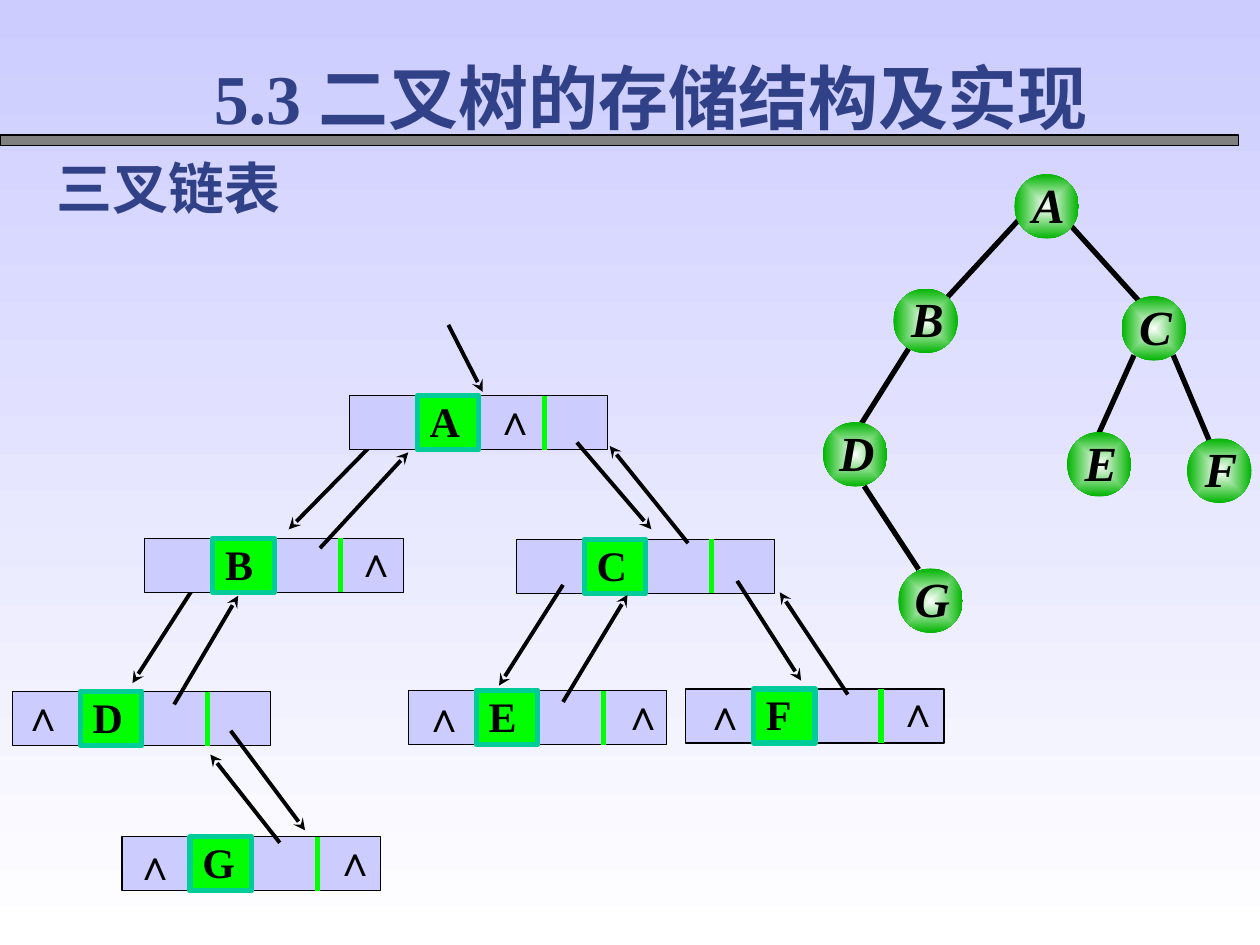
from lxml.etree import SubElement
from pptx import Presentation
from pptx.dml.color import RGBColor
from pptx.enum.shapes import MSO_CONNECTOR as Connector, MSO_SHAPE as Shape
from pptx.enum.text import MSO_ANCHOR as Anchor, PP_ALIGN as Align
from pptx.oxml.ns import qn
from pptx.util import Cm, Pt

color = RGBColor.from_string

deck = Presentation()
deck.slide_width, deck.slide_height = Cm(25.4), Cm(19.05)
page = deck.slides.add_slide(deck.slide_layouts[6])


def add_line(ends, hue, width, arrow=False):
    line = page.shapes.add_connector(Connector.STRAIGHT, *[Cm(end) for end in ends])
    line.line.color.rgb = color(hue)
    line.line.width = Pt(width)
    properties = line._element.spPr
    if arrow:
        SubElement(properties.find(qn("a:ln")), qn("a:tailEnd"), type="stealth")
    SubElement(properties, qn("a:effectLst"))


def write(box, text, size, hue, align, margins, italic=False):
    frame = box.text_frame
    frame.text = text
    frame.word_wrap = True
    frame.vertical_anchor = Anchor.TOP
    frame.margin_left, frame.margin_top, frame.margin_right, frame.margin_bottom = [
        Cm(margin) for margin in margins
    ]
    para = frame.paragraphs[0]
    para.alignment = align
    font = para.runs[0].font
    font.name = "Times New Roman"
    font.size = Pt(size)
    font.bold = True
    font.italic = italic
    font.color.rgb = color(hue)


backdrop = page.background.fill
backdrop.gradient()
backdrop.gradient_angle = 270
for stop, hue, position in zip(backdrop.gradient_stops, ("CCCCFF", "FFFFFF"), (0, 1)):
    stop.color.rgb = color(hue)
    stop.position = position

bar = page.shapes.add_shape(Shape.RECTANGLE, Cm(0), Cm(2.72), Cm(24.97), Cm(0.21))
bar.shadow.inherit = False
bar.fill.solid()
bar.fill.fore_color.rgb = color("808080")
bar.line.color.rgb = color("000000")
bar.line.width = Pt(0.75)

tree_edges = [
    (20.52, 4.45, 19.1, 5.99),
    (21.56, 4.52, 22.99, 6.1),
    (18.34, 6.99, 17.37, 8.53),
    (17.42, 9.8, 18.52, 11.48),
    (22.86, 7.16, 22.15, 8.74),
    (23.65, 7.16, 24.38, 8.89),
]
for edge in tree_edges:
    add_line(edge, "000000", 3)

tree_nodes = {
    "A": (20.45, 3.51),
    "B": (18.01, 5.82),
    "C": (22.61, 5.97),
    "D": (16.59, 8.51),
    "E": (21.51, 8.71),
    "F": (23.93, 8.84),
    "G": (18.11, 11.46),
}
for name, (left, top) in tree_nodes.items():
    node = page.shapes.add_shape(Shape.OVAL, Cm(left), Cm(top), Cm(1.3), Cm(1.3))
    node.shadow.inherit = False
    node.line.fill.background()
    node.fill.gradient()
    for stop, hue, position in zip(node.fill.gradient_stops, ("FFFFFF", "00B400"), (0, 1)):
        stop.color.rgb = color(hue)
        stop.position = position
    gradient = node._element.spPr.find(qn("a:gradFill"))
    gradient.remove(gradient.find(qn("a:lin")))
    center = SubElement(gradient, qn("a:path"), path="rect")
    SubElement(center, qn("a:fillToRect"), l="50000", t="50000", r="50000", b="50000")
    label = page.shapes.add_textbox(Cm(left + 0.14), Cm(top - 0.1), Cm(1.09), Cm(1.7))
    write(label, name, 28, "000000", Align.CENTER, (0, 0.1, 0, 0), italic=True)

arrows_behind = [(3.96, 11.76, 2.67, 13.77), (7.54, 8.92, 5.82, 10.67)]
for arrow in arrows_behind:
    add_line(arrow, "000000", 2.25, arrow=True)

records = [
    ("A", 7.04, 7.98, [(2.71, -0.08)]),
    ("B", 2.92, 10.85, [(4.04, -0.08)]),
    ("C", 10.41, 10.87, []),
    ("D", 0.25, 13.94, [(0, -0.07)]),
    ("E", 8.23, 13.92, [(0.1, -0.03), (4.11, -0.08)]),
    ("F", 13.82, 13.89, [(0.18, -0.05), (4.06, -0.1)]),
    ("G", 2.46, 16.87, [(0.05, 0), (4.07, -0.08)]),
]
for name, left, top, nulls in records:
    parts = [(0, 5.21, "CCCCFF", "000000", 0.75), (1.37, 1.24, "01FF01", "00CC99", 3)]
    for offset, width, fill, outline, weight in parts:
        cell = page.shapes.add_shape(
            Shape.RECTANGLE, Cm(left + offset), Cm(top), Cm(width), Cm(1.09)
        )
        cell.shadow.inherit = False
        cell.fill.solid()
        cell.fill.fore_color.rgb = color(fill)
        cell.line.color.rgb = color(outline)
        cell.line.width = Pt(weight)
    write(cell, name, 24, "000000", Align.JUSTIFY, (0.25, 0, 0.05, 0.03))
    add_line((left + 3.94, top, left + 3.94, top + 1.09), "01FF01", 3)
    for across, down in nulls:
        null = page.shapes.add_textbox(Cm(left + across), Cm(top + down), Cm(1.17), Cm(1.02))
        write(null, "∧", 24, "000000", Align.CENTER, (0.15, 0.03, 0.05, 0.03))

arrows_in_front = [
    (9.04, 6.55, 9.73, 7.9),
    (11.63, 8.92, 13.13, 10.67),
    (6.45, 11.05, 8.23, 9.12),
    (3.51, 14.2, 4.8, 12.01),
    (11.35, 14.15, 12.65, 11.99),
    (11.35, 11.79, 10.06, 13.82),
    (4.65, 14.73, 6.15, 16.74),
    (5.64, 16.99, 4.24, 15.21),
    (17.09, 14, 15.72, 11.94),
    (13.87, 10.95, 12.29, 8.99),
    (14.86, 11.71, 16.15, 13.72),
]
for arrow in arrows_in_front:
    add_line(arrow, "000000", 2.25, arrow=True)

headings = [
    ("三叉链表", 32, Align.LEFT, (0.89, 2.97, 9.32, 1.63)),
    ("5.3 二叉树的存储结构及实现", 40, Align.JUSTIFY, (4.06, 0.97, 19.58, 1.96)),
]
for text, size, align, place in headings:
    heading = page.shapes.add_textbox(*[Cm(length) for length in place])
    write(heading, text, size, "314187", align, (0.25, 0.13, 0.25, 0.13))

deck.save("out.pptx")
